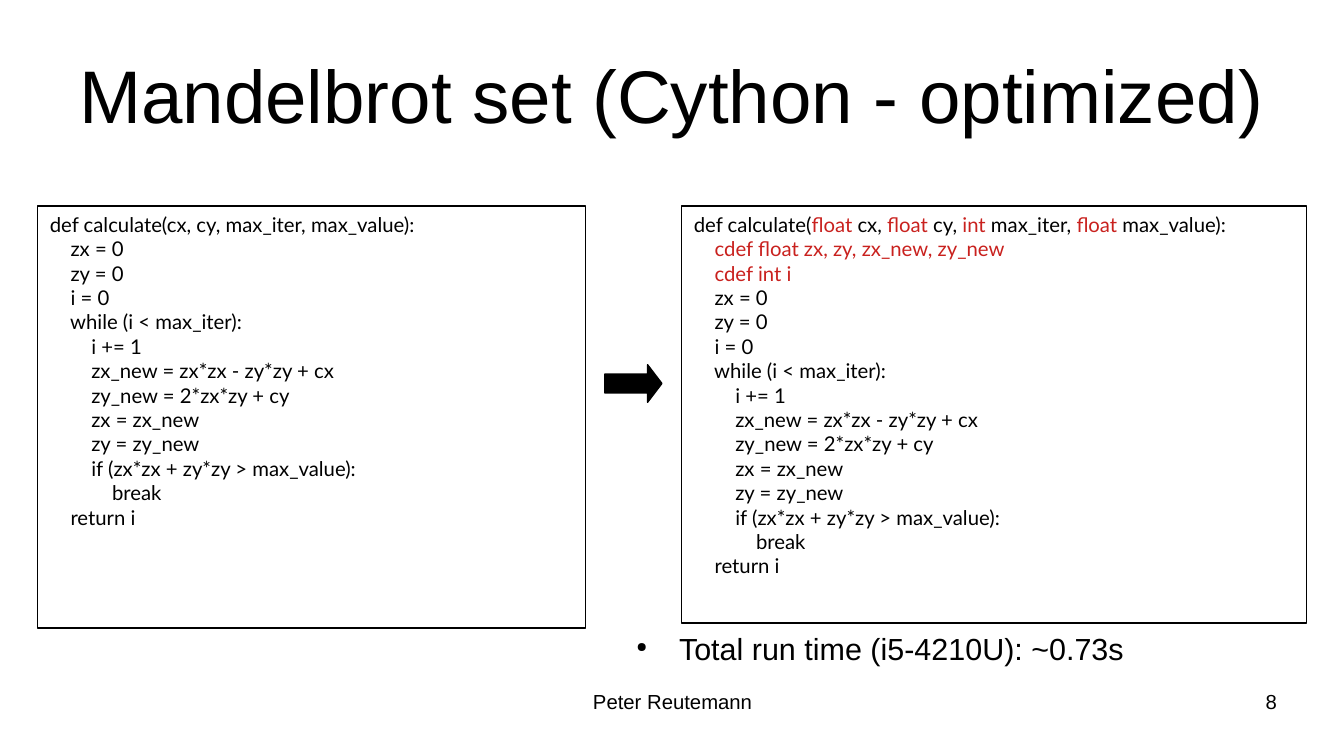
from dataclasses import dataclass

from lxml.etree import SubElement
from pptx import Presentation
from pptx.dml.color import RGBColor
from pptx.enum.shapes import MSO_SHAPE
from pptx.enum.text import MSO_ANCHOR, PP_ALIGN
from pptx.oxml.ns import qn
from pptx.util import Inches, Pt


@dataclass(frozen=True)
class Theme:
    ink: str = "000000"
    accent: str = "C9211E"
    sans: str = "Arial"
    code: str = "Lato"
    title_size: int = 44
    note_size: int = 18
    small_size: int = 12
    bullet_percent: int = 45


# Code lines shared by both versions
SHARED_LINES = [
    "    zx = 0",
    "    zy = 0",
    "    i = 0",
    "    while (i < max_iter):",
    "        i += 1",
    "        zx_new = zx*zx - zy*zy + cx",
    "        zy_new = 2*zx*zy + cy",
    "        zx = zx_new",
    "        zy = zy_new",
    "        if (zx*zx + zy*zy > max_value):",
    "            break",
    "    return i",
]
PYTHON_LINES = ["def calculate(cx, cy, max_iter, max_value):"] + SHARED_LINES
# Text between bars is shown in the accent colour
CYTHON_LINES = [
    "def calculate(|float| cx, |float| cy, |int| max_iter, |float| max_value):",
    "    |cdef float zx, zy, zx_new, zy_new|",
    "|    cdef int i|",
] + SHARED_LINES


class SlideBuilder:
    """Places elements by (left, top, width, height) in percent of the slide."""

    def __init__(self, deck, theme):
        self.deck = deck
        self.theme = theme
        self.page = deck.slides.add_slide(deck.slide_layouts[6])

    def place(self, area):
        sides = (self.deck.slide_width, self.deck.slide_height) * 2
        return [round(side * share / 100) for side, share in zip(sides, area)]

    def set_frame(self, frame, inset_x=0.0, inset_y=0.0, anchor=MSO_ANCHOR.TOP):
        values = {
            "word_wrap": True,
            "vertical_anchor": anchor,
            "margin_left": Inches(inset_x),
            "margin_right": Inches(inset_x),
            "margin_top": Inches(inset_y),
            "margin_bottom": Inches(inset_y),
        }
        for name, value in values.items():
            setattr(frame, name, value)

    def fill_para(self, para, text, font, size, align=PP_ALIGN.LEFT):
        para.alignment = align
        for index, part in enumerate(text.split("|")):
            if not part:
                continue
            span = para.add_run()
            span.text = part
            for name, value in {"name": font, "size": Pt(size)}.items():
                setattr(span.font, name, value)
            color = self.theme.accent if index % 2 else self.theme.ink
            span.font.color.rgb = RGBColor.from_string(color)

    def text(self, area, text, size, align, **frame_format):
        box = self.page.shapes.add_textbox(*self.place(area))
        self.set_frame(box.text_frame, **frame_format)
        para = box.text_frame.paragraphs[0]
        self.fill_para(para, text, self.theme.sans, size, align)
        return para

    def bullet(self, area, text):
        para = self.text(area, text, self.theme.note_size, PP_ALIGN.LEFT,
                         inset_x=0.1, inset_y=0.05)
        props = para._p.get_or_add_pPr()
        props.set("marL", str(Inches(0.47)))
        props.set("indent", str(Inches(-0.35)))
        color = SubElement(props, qn("a:buClr"))
        SubElement(color, qn("a:srgbClr"), val=self.theme.ink)
        SubElement(props, qn("a:buSzPct"), val=str(self.theme.bullet_percent * 1000))
        SubElement(props, qn("a:buChar"), char="●")

    def shape(self, kind, area):
        shape = self.page.shapes.add_shape(kind, *self.place(area))
        shape.shadow.inherit = False
        shape.line.color.rgb = RGBColor.from_string(self.theme.ink)
        shape.line.width = Pt(0)
        return shape

    def code(self, area, lines):
        box = self.shape(MSO_SHAPE.RECTANGLE, area)
        box.fill.background()
        frame = box.text_frame
        self.set_frame(frame, inset_x=0.1, inset_y=0.05)
        for index, line in enumerate(lines):
            para = frame.add_paragraph() if index else frame.paragraphs[0]
            self.fill_para(para, line, self.theme.code, self.theme.small_size)

    def arrow(self, area):
        arrow = self.shape(MSO_SHAPE.RIGHT_ARROW, area)
        arrow.fill.solid()
        arrow.fill.fore_color.rgb = RGBColor.from_string(self.theme.ink)
        arrow.adjustments[0] = 0.5
        arrow.adjustments[1] = 0.38


def main():
    deck = Presentation()
    deck.slide_width, deck.slide_height = Inches(11.02), Inches(6.2)
    theme = Theme()
    slide = SlideBuilder(deck, theme)

    # Title
    slide.text((5, 4.03, 90, 16.77), "Mandelbrot set (Cython - optimized)",
               theme.title_size, PP_ALIGN.CENTER, anchor=MSO_ANCHOR.MIDDLE)

    # Code before and after typing
    code_top = 27.26
    slide.code((50.73, code_top, 46.46, 55.16), CYTHON_LINES)
    slide.code((2.81, code_top, 40.74, 55.81), PYTHON_LINES)
    slide.arrow((45, 48.23, 4.26, 5))

    # Run time
    slide.bullet((45.37, 82.58, 51.45, 7.58), "Total run time (i5-4210U): ~0.73s")

    # Footer
    footer_top, footer_height = 91.13, 6.94
    slide.text((34.21, footer_top, 31.67, footer_height), "Peter Reutemann",
               theme.small_size, PP_ALIGN.CENTER)
    slide.text((71.69, footer_top, 23.32, footer_height), "8",
               theme.small_size, PP_ALIGN.RIGHT)

    deck.save("out.pptx")


if __name__ == "__main__":
    main()
